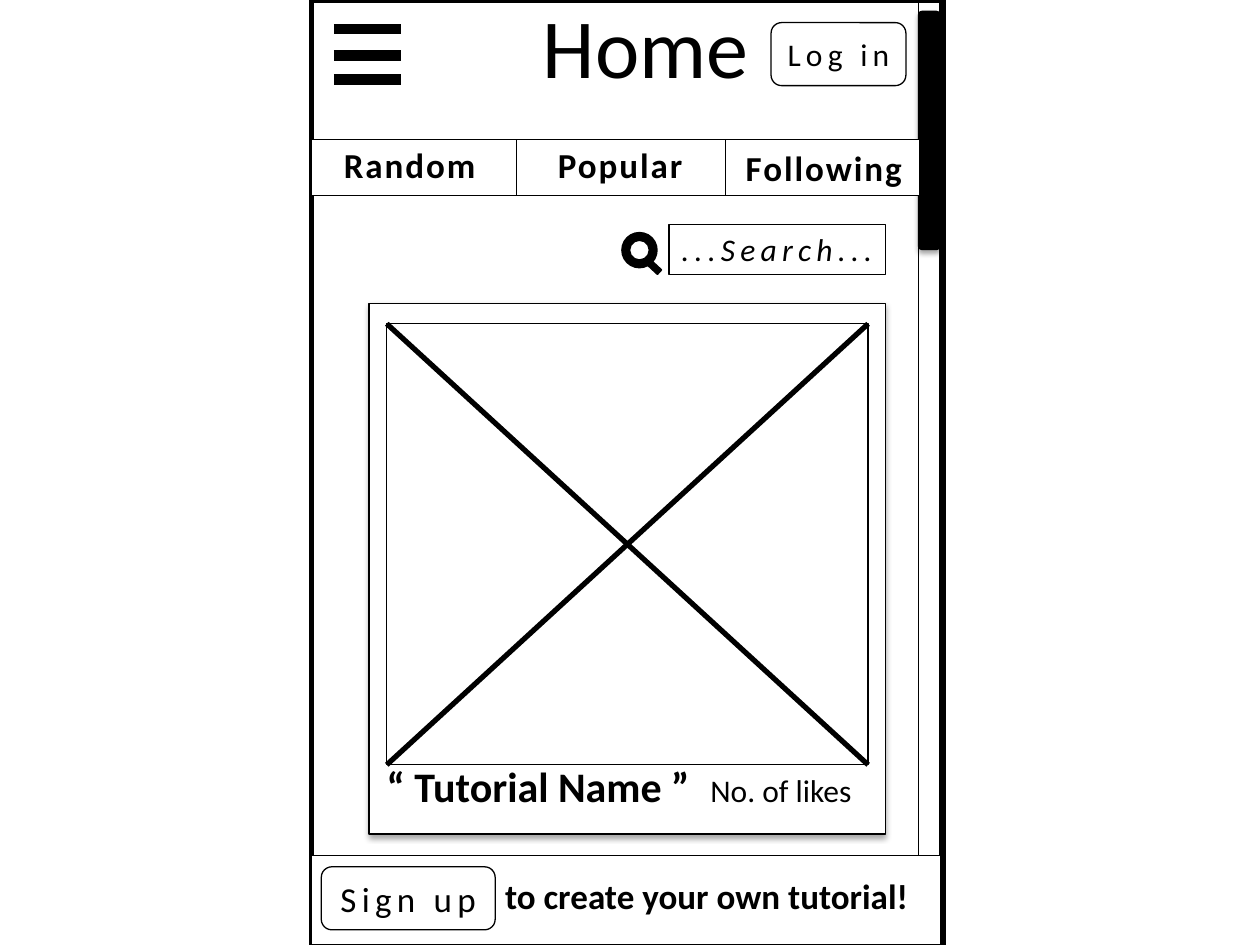
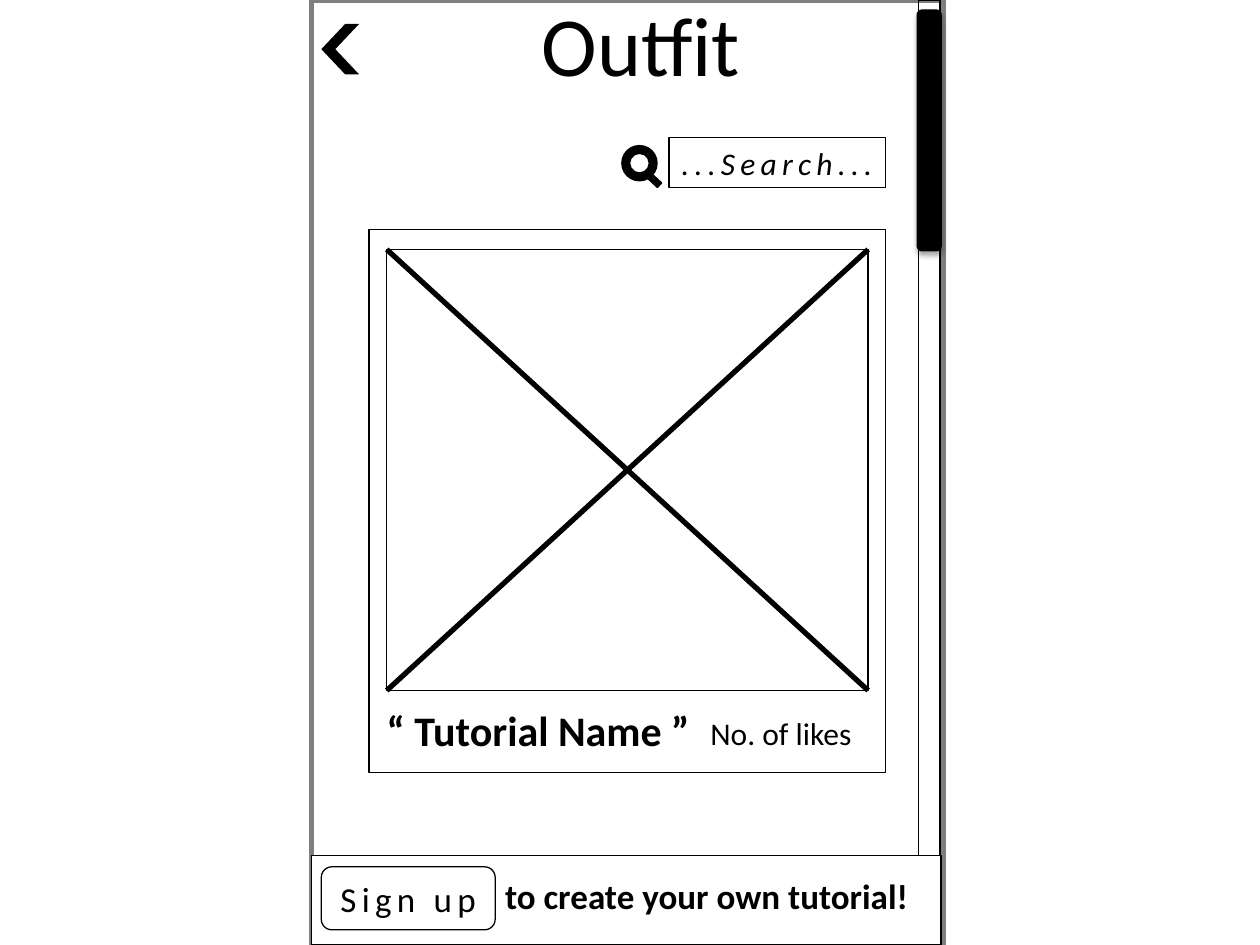
from dataclasses import dataclass
from typing import Optional

from lxml import etree
from pptx import Presentation
from pptx.dml.color import RGBColor
from pptx.enum.shapes import MSO_CONNECTOR, MSO_SHAPE
from pptx.enum.text import MSO_ANCHOR, MSO_AUTO_SIZE, PP_ALIGN
from pptx.oxml.ns import qn
from pptx.util import Inches, Pt

RECTANGLE = MSO_SHAPE.RECTANGLE
ROUNDED = MSO_SHAPE.ROUNDED_RECTANGLE
DONUT = MSO_SHAPE.DONUT
CHEVRON = MSO_SHAPE.CHEVRON
STRAIGHT = MSO_CONNECTOR.STRAIGHT
TOP, MIDDLE = MSO_ANCHOR.TOP, MSO_ANCHOR.MIDDLE
LEFT, CENTER = PP_ALIGN.LEFT, PP_ALIGN.CENTER
GROW, FIXED = MSO_AUTO_SIZE.SHAPE_TO_FIT_TEXT, MSO_AUTO_SIZE.NONE


@dataclass(frozen=True)
class Theme:
    font: str = "Calibri"
    ink: RGBColor = RGBColor(0, 0, 0)
    paper: RGBColor = RGBColor(255, 255, 255)
    grey: RGBColor = RGBColor(0x7F, 0x7F, 0x7F)
    title: int = 48
    name: int = 24
    label: int = 20
    small: int = 18
    thin: float = 0.75
    medium: float = 2.25
    thick: float = 3
    bar: float = 6
    wide_spacing: float = 3
    tab_spacing: float = 1.1


@dataclass(frozen=True)
class Area:
    left: float
    top: float
    width: float
    height: float

    @property
    def right(self) -> float:
        return self.left + self.width

    @property
    def bottom(self) -> float:
        return self.top + self.height

    def lengths(self) -> tuple:
        return tuple(Inches(v) for v in (self.left, self.top, self.width, self.height))


@dataclass(frozen=True)
class Screen:
    title: str
    title_area: Area
    frame_color: RGBColor
    thumb_line: float
    search_top: float
    card: Area
    card_shadow: bool
    name_top: float


@dataclass(frozen=True)
class Tab:
    text: str
    area: Area


THEME = Theme()
SCREENS = (
    Screen("Home", Area(4.21, -0.09, 2, 0.91), THEME.ink, THEME.thin,
           1.78, Area(2.93, 2.41, 4.1, 4.21), True, 5.99),
    Screen("Outfit", Area(4.2, -0.11, 1.79, 0.91), THEME.grey, THEME.medium,
           1.09, Area(2.93, 1.82, 4.1, 4.31), False, 5.54),
)
TAB_BAR = Area(2.47, 1.11, 4.83, 0.44)
TABS = (
    Tab("Random", Area(2.63, 1.09, 1.35, 0.44)),
    Tab("Popular", Area(4.33, 1.09, 1.35, 0.44)),
    Tab("Following", Area(5.82, 1.11, 1.72, 0.44)),
)
TAB_DIVIDERS = (4.1, 5.76)
MENU_BARS = (0.23, 0.44, 0.63)


# Drawing helpers
def add_shadow(shape) -> None:
    effects = shape._element.spPr.find(qn("a:effectLst"))
    shadow = etree.SubElement(effects, qn("a:outerShdw"), blurRad=str(Pt(3.1)),
                              dist=str(Pt(1.8)), dir="5400000", rotWithShape="0")
    color = etree.SubElement(shadow, qn("a:srgbClr"), val=str(THEME.ink))
    etree.SubElement(color, qn("a:alpha"), val="35000")


def add_box(page, kind, area: Area, *, fill: Optional[RGBColor] = THEME.paper,
            line: Optional[RGBColor] = THEME.ink, weight: float = THEME.thin,
            shadow: bool = False, rotation: float = 0):
    box = page.shapes.add_shape(kind, *area.lengths())
    box.shadow.inherit = False
    box.rotation = rotation
    if fill is None:
        box.fill.background()
    else:
        box.fill.solid()
        box.fill.fore_color.rgb = fill
    if line is None:
        box.line.fill.background()
    else:
        box.line.color.rgb = line
        box.line.width = Pt(weight)
    if shadow:
        add_shadow(box)
    return box


def add_line(page, x1: float, y1: float, x2: float, y2: float,
             weight: float = THEME.thin) -> None:
    line = page.shapes.add_connector(STRAIGHT, Inches(x1), Inches(y1), Inches(x2), Inches(y2))
    line.line.color.rgb = THEME.ink
    line.line.width = Pt(weight)
    etree.SubElement(line._element.spPr, qn("a:effectLst"))


def write(box, text: str, *, size: int, bold: bool = False, italic: bool = False,
          spacing: float = 0, align=LEFT, anchor=TOP, wrap: bool = True,
          fit=GROW) -> None:
    frame = box.text_frame
    frame.word_wrap = wrap
    frame.auto_size = fit
    frame.vertical_anchor = anchor
    para = frame.paragraphs[0]
    para.alignment = align
    span = para.add_run()
    span.text = text
    font = span.font
    font.name, font.size, font.bold, font.italic = THEME.font, Pt(size), bold, italic
    font.color.rgb = THEME.ink
    if spacing:
        span._r.get_or_add_rPr().set("spc", str(round(spacing * 100)))


def add_label(page, text: str, area: Area, **text_format) -> None:
    write(page.shapes.add_textbox(*area.lengths()), text, **text_format)


def add_button(page, text: str, area: Area, size: int) -> None:
    write(add_box(page, ROUNDED, area), text, size=size, spacing=THEME.wide_spacing,
          align=CENTER, anchor=MIDDLE, fit=FIXED)


# Parts of every screen
def draw_frame(page, screen: Screen) -> None:
    add_box(page, RECTANGLE, Area(2.47, 0, 5.02, 7.5),
            line=screen.frame_color, weight=THEME.thick)
    add_box(page, RECTANGLE, Area(7.29, 0, 0.17, 7.5), fill=None)
    add_box(page, ROUNDED, Area(7.29, 0.09, 0.17, 1.89), fill=THEME.ink,
            weight=screen.thumb_line, shadow=True)


def draw_search(page, top: float) -> None:
    add_box(page, ROUNDED, Area(5.28, top + 0.02, 1.75, 0.38), line=None)
    field = add_box(page, RECTANGLE, Area(5.31, top, 1.72, 0.4), fill=None)
    write(field, "...Search...", size=THEME.small, italic=True, spacing=THEME.wide_spacing)
    add_box(page, DONUT, Area(4.93, top + 0.06, 0.29, 0.29), fill=THEME.ink, line=None)
    add_box(page, ROUNDED, Area(5.1, top + 0.3, 0.16, 0.06), fill=THEME.ink,
            line=None, rotation=43.1)


def draw_card(page, screen: Screen) -> None:
    card = screen.card
    add_box(page, RECTANGLE, card, shadow=screen.card_shadow)
    image = Area(card.left + 0.14, card.top + 0.16, 3.82, 3.5)
    add_box(page, RECTANGLE, image)
    for start, end in ((image.top, image.bottom), (image.bottom, image.top)):
        add_line(page, image.left, start, image.right, end, THEME.thick)
    add_label(page, "“ Tutorial Name ”", Area(2.97, screen.name_top, 2.65, 0.5),
              size=THEME.name, bold=True, wrap=False)
    add_label(page, "No. of likes", Area(5.54, screen.name_top + 0.08, 1.34, 0.4),
              size=THEME.small, wrap=False)


def draw_footer(page) -> None:
    add_box(page, RECTANGLE, Area(2.47, 6.79, 5, 0.71))
    add_label(page, "to create your own tutorial!", Area(3.91, 6.89, 4.02, 0.44),
              size=THEME.label, bold=True)
    add_button(page, "Sign up", Area(2.55, 6.88, 1.38, 0.5), THEME.label)


def add_screen(deck, screen: Screen):
    page = deck.slides.add_slide(deck.slide_layouts[6])
    draw_frame(page, screen)
    draw_search(page, screen.search_top)
    draw_card(page, screen)
    draw_footer(page)
    add_label(page, screen.title, screen.title_area, size=THEME.title)
    return page


# Parts of a single screen
def draw_home_controls(page) -> None:
    add_box(page, RECTANGLE, TAB_BAR)
    for x in TAB_DIVIDERS:
        add_line(page, x, TAB_BAR.top, x, TAB_BAR.bottom)
    for tab in TABS:
        add_label(page, tab.text, tab.area, size=THEME.label, bold=True,
                  spacing=THEME.tab_spacing)
    for y in MENU_BARS:
        add_line(page, 2.65, y, 3.18, y, THEME.bar)
    add_button(page, "Log in", Area(6.12, 0.18, 1.07, 0.5), THEME.small)


def draw_back_arrow(page) -> None:
    arrow = add_box(page, CHEVRON, Area(2.55, 0.19, 0.3, 0.4), fill=THEME.ink,
                    line=None, rotation=180)
    arrow.adjustments[0] = 0.63


def main() -> None:
    deck = Presentation()
    deck.slide_width, deck.slide_height = Inches(10), Inches(7.5)
    home, outfit = (add_screen(deck, screen) for screen in SCREENS)
    draw_home_controls(home)
    draw_back_arrow(outfit)
    deck.save("out.pptx")


if __name__ == "__main__":
    main()
